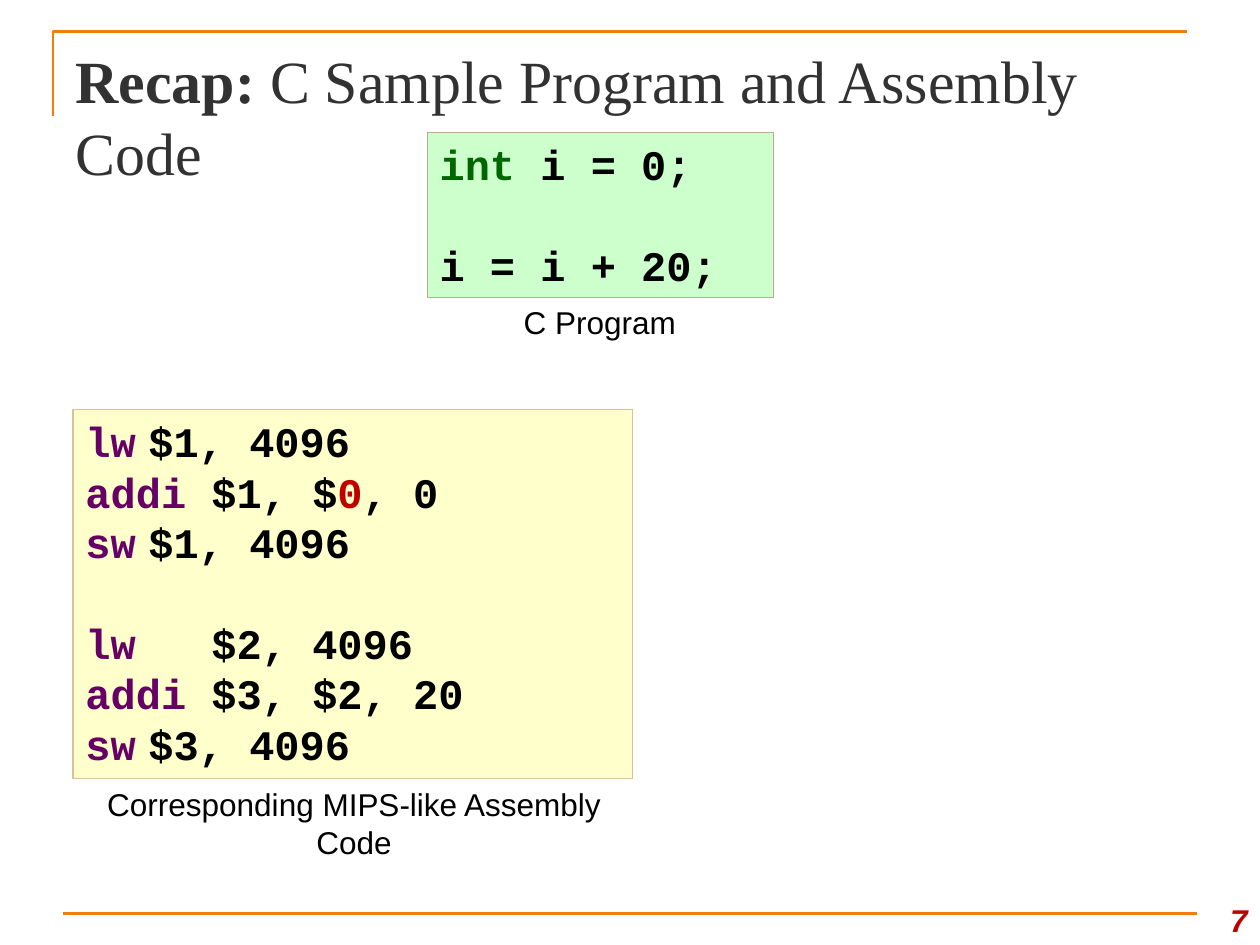
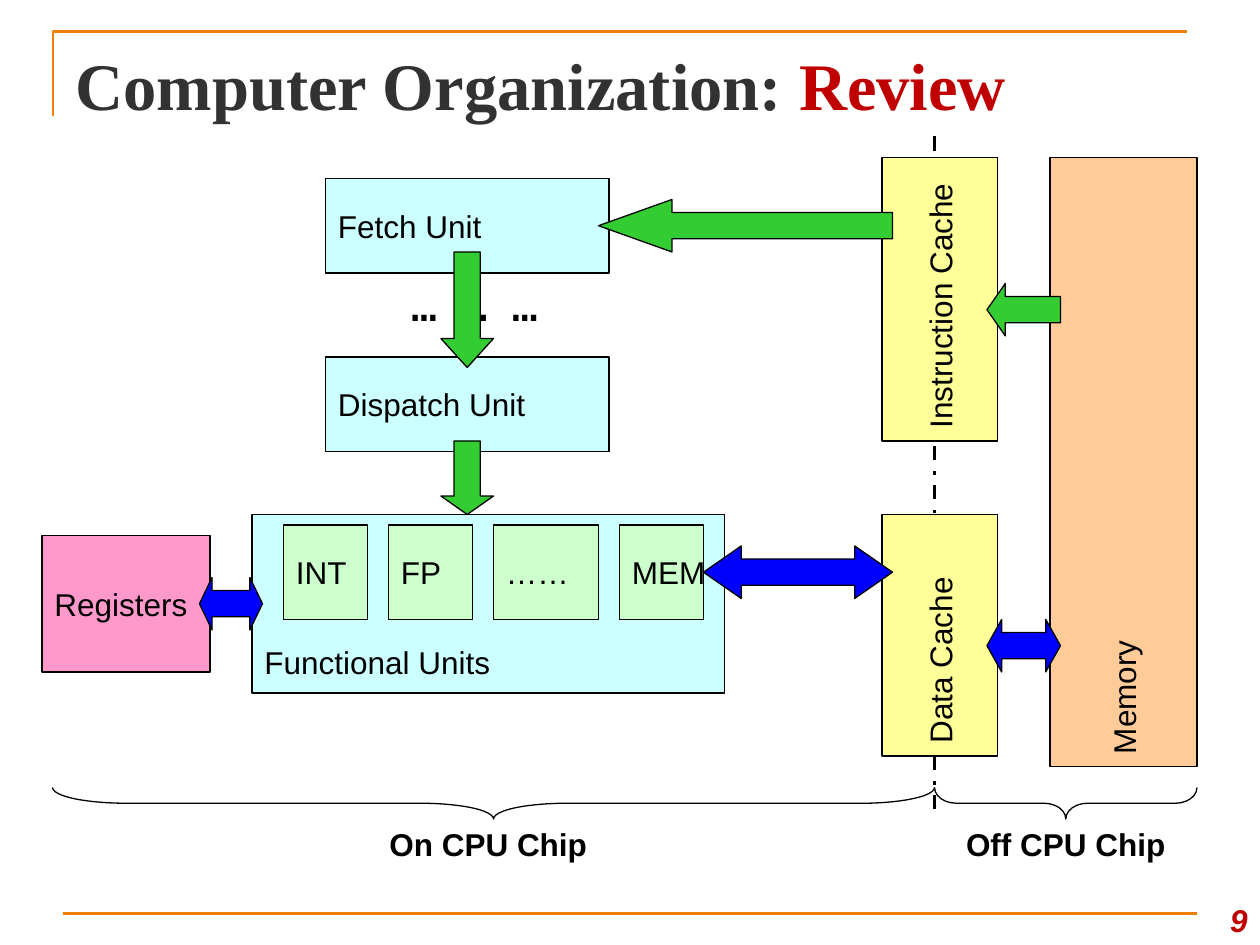
from lxml import etree
from pptx import Presentation
from pptx.dml.color import RGBColor
from pptx.enum.dml import MSO_LINE
from pptx.enum.shapes import MSO_CONNECTOR, MSO_SHAPE
from pptx.enum.text import MSO_ANCHOR, MSO_AUTO_SIZE, PP_ALIGN
from pptx.oxml.ns import qn
from pptx.util import Inches, Pt

RECT, BRACE = MSO_SHAPE.RECTANGLE, MSO_SHAPE.RIGHT_BRACE
LEFT_ARROW, DOWN_ARROW = MSO_SHAPE.LEFT_ARROW, MSO_SHAPE.DOWN_ARROW
BOTH_ARROW = MSO_SHAPE.LEFT_RIGHT_ARROW
LEFT, CENTER, RIGHT = PP_ALIGN.LEFT, PP_ALIGN.CENTER, PP_ALIGN.RIGHT
TOP, MIDDLE, BOTTOM = MSO_ANCHOR.TOP, MSO_ANCHOR.MIDDLE, MSO_ANCHOR.BOTTOM

COLORS = {
    "rule": "F07F09", "title": "323232", "accent": "C00000", "text": "000000",
    "type": "006600", "opcode": "660066",
    "c code": "CCFFCC", "c edge": "BAAD8D", "assembly": "FFFFCC", "assembly edge": "DAC19B",
    "unit": "CCFFFF", "function": "CCFFCC", "register": "FF99CC",
    "cache": "FFFF99", "memory": "FFCC99", "control": "33CC33", "data": "0000FF",
}
SANS, MONO, SERIF = "Arial", "Courier New", "Times New Roman"
CELL = 1 / 12  # diagram grid step in inches
LINE_RATIO = 1.2

# A span is (text, colour name[, bold]); a paragraph is a list of spans.
RECAP_TITLE = [("Recap: ", "title", True), ("C Sample Program and Assembly Code", "title", False)]
REVIEW_TITLE = [("Computer Organization: ", "title"), ("Review", "accent")]

# Each block of code lines is set off from the one before by one line.
C_CODE = [
    [[("int ", "type"), ("i = 0;", "text")]],
    [[("i = i + 20;", "text")]],
]
ASSEMBLY = [
    [
        [("lw", "opcode"), ("\t$1, 4096", "text")],
        [("addi", "opcode"), (" $1, $", "text"), ("0", "accent"), (", 0", "text")],
        [("sw", "opcode"), ("\t$1, 4096", "text")],
    ],
    [
        [("lw", "opcode"), ("\t\t$2, 4096", "text")],
        [("addi", "opcode"), (" $3, $2, 20", "text")],
        [("sw", "opcode"), ("\t$3, 4096", "text")],
    ],
]
# code, fill, edge, area in inches, caption, caption area
LISTINGS = [
    (C_CODE, "c code", "c edge", (3.39, 1.05, 2.75, 1.31),
     "C Program", (3.8, 2.36, 1.92, 0.4)),
    (ASSEMBLY, "assembly", "assembly edge", (0.58, 3.25, 4.44, 2.93),
     "Corresponding MIPS-like Assembly Code", (0.6, 6.18, 4.42, 0.71)),
]

# text, fill, (column, row, columns, rows), anchor, vertical text
UNITS = [
    ("Memory", "memory", (100, 15, 14, 58), MIDDLE, True),
    ("Instruction Cache", "cache", (84, 15, 11, 27), MIDDLE, True),
    ("Data Cache", "cache", (84, 49, 11, 23), MIDDLE, True),
    ("Fetch Unit", "unit", (31, 17, 27, 9), MIDDLE, False),
    ("Dispatch Unit", "unit", (31, 34, 27, 9), MIDDLE, False),
    ("Functional Units", "unit", (24, 49, 45, 17), BOTTOM, False),
    ("INT", "function", (27, 50, 8, 9), MIDDLE, False),
    ("FP", "function", (37, 50, 8, 9), MIDDLE, False),
    ("……", "function", (47, 50, 10, 9), MIDDLE, False),
    ("MEM", "function", (59, 50, 8, 9), MIDDLE, False),
    ("Registers", "register", (4, 51, 16, 13), MIDDLE, False),
]
# preset, fill, grid area, head length
ARROWS = [
    (LEFT_ARROW, "control", (94, 27, 7, 5), 0.35),
    (LEFT_ARROW, "control", (57, 19, 28, 5), 1.4),
    (DOWN_ARROW, "control", (42, 24, 5, 11), 0.55),
    (DOWN_ARROW, "control", (42, 42, 5, 7), 0.35),
    (BOTH_ARROW, "data", (67, 52, 18, 5), 0.72),
    (BOTH_ARROW, "data", (19, 55, 6, 5), 0.24),
    (BOTH_ARROW, "data", (94, 59, 7, 5), 0.28),
]
CHIP_EDGE = 89
# label, first column, last column, label column, curl of the brace
REGIONS = [
    ("On CPU Chip", 5, CHIP_EDGE, 33, 2.33),
    ("Off CPU Chip", CHIP_EDGE, 114, 88, 0.69),
]


def color(name):
    return RGBColor.from_string(COLORS[name])


def grid(*cells):
    return [cell * CELL for cell in cells]


def write(shape, paragraphs, size=18, font=SANS, bold=False, italic=False, align=LEFT,
          anchor=TOP, wrap=True, line=None, gaps=()):
    """Fill a shape with paragraphs; those whose index is in gaps get a line of space above."""
    frame = shape.text_frame
    frame.word_wrap = wrap
    frame.auto_size = MSO_AUTO_SIZE.NONE
    frame.vertical_anchor = anchor
    for index, spans in enumerate(paragraphs):
        para = frame.add_paragraph() if index else frame.paragraphs[0]
        para.alignment = align
        if line:
            para.line_spacing = Pt(line)
        if index in gaps:
            para.space_before = Pt(line)
        for text, tint, *weight in spans:
            span = para.add_run()
            span.text = text
            span.font.name, span.font.size = font, Pt(size)
            span.font.bold = weight[0] if weight else bold
            span.font.italic = italic
            span.font.color.rgb = color(tint)


def add_text(page, area, text, tint="text", **style):
    box = page.shapes.add_textbox(*map(Inches, area))
    write(box, [[(text, tint)]], **style)


def add_shape(page, preset, area, fill=None, edge="text", adjust=()):
    shape = page.shapes.add_shape(preset, *map(Inches, area))
    shape.shadow.inherit = False
    if fill:
        shape.fill.solid()
        shape.fill.fore_color.rgb = color(fill)
    else:
        shape.fill.background()
    shape.line.color.rgb = color(edge)
    shape.line.width = Pt(0.75)
    for index, value in enumerate(adjust):
        shape.adjustments[index] = value
    return shape


def add_line(page, start, end, tint, width):
    line = page.shapes.add_connector(MSO_CONNECTOR.STRAIGHT, *map(Inches, (*start, *end)))
    line.line.color.rgb = color(tint)
    line.line.width = Pt(width)
    etree.SubElement(line._element.spPr, qn("a:effectLst"))
    return line


def add_page(deck, title, size, number):
    """Add a slide with the shared corner rule, footer rule, title and page number."""
    page = deck.slides.add_slide(deck.slide_layouts[5])
    outline = page.shapes.build_freeform(Inches(0.42), Inches(0.92), scale=1.0)
    outline.add_line_segments(
        [(Inches(0.42), Inches(0.25)), (Inches(9.42), Inches(0.25))], close=False)
    corner = outline.convert_to_shape()
    corner.shadow.inherit = False
    corner.fill.background()
    corner.line.color.rgb = color("rule")
    corner.line.width = Pt(1.5)
    add_line(page, (0.5, 7.25), (9.5, 7.25), "rule", 1.5)

    heading = page.shapes.title
    heading.left, heading.top, heading.width, heading.height = map(Inches, (0.5, 0.3, 9, 0.78))
    write(heading, [title], size=size, font=SERIF, bold=True, line=size * LINE_RATIO)
    add_text(page, (9.42, 7, 0.58, 0.5), number, "accent",
             bold=True, italic=True, align=RIGHT, anchor=BOTTOM)
    return page


def add_recap(deck):
    page = add_page(deck, RECAP_TITLE, 34.2, "7")
    for blocks, fill, edge, area, caption, caption_area in LISTINGS:
        box = add_shape(page, RECT, area, fill, edge)
        lines = [line for block in blocks for line in block]
        write(box, lines, size=24, font=MONO, bold=True,
              line=24 * LINE_RATIO, gaps=[len(blocks[0])])
        add_text(page, caption_area, caption, align=CENTER)


def add_review(deck):
    page = add_page(deck, REVIEW_TITLE, 38, "9")
    edge = add_line(page, grid(CHIP_EDGE, 13), grid(CHIP_EDGE, 78), "text", 2)
    edge.line.dash_style = MSO_LINE.DASH_DOT

    for text, fill, cells, anchor, vertical in UNITS:
        unit = add_shape(page, RECT, grid(*cells), fill)
        write(unit, [[(text, "text")]], anchor=anchor, wrap=False)
        if anchor == BOTTOM:
            unit.text_frame.margin_bottom = Inches(0.1)
        if vertical:
            unit.text_frame._txBody.bodyPr.set("vert", "vert270")

    add_text(page, grid(38, 26, 15, 6), "… … …", size=24, font=MONO, bold=True)
    for preset, fill, cells, head in ARROWS:
        add_shape(page, preset, grid(*cells), fill, adjust=(0.5, head))

    for label, first, last, label_column, curl in REGIONS:
        middle, span, depth = (first + last) / 2, last - first, 3
        area = grid(middle - depth / 2, 76.5 - span / 2, depth, span)
        brace = add_shape(page, BRACE, area, adjust=(curl, 0.5))
        brace.rotation = 90
        add_text(page, grid(label_column, 78, 27, 5), label, bold=True, align=CENTER)


def main():
    deck = Presentation()
    deck.slide_width, deck.slide_height = Inches(10), Inches(7.5)
    add_recap(deck)
    add_review(deck)
    deck.save("out.pptx")


if __name__ == "__main__":
    main()
